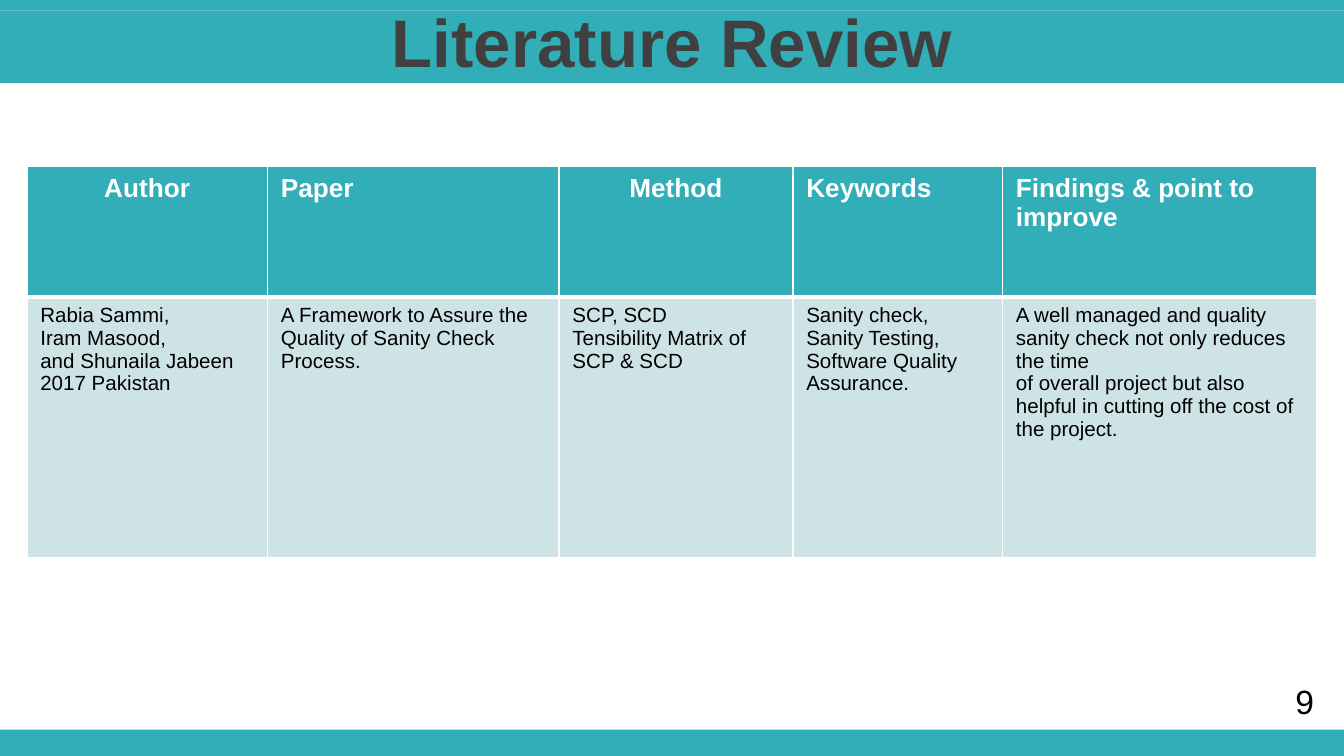
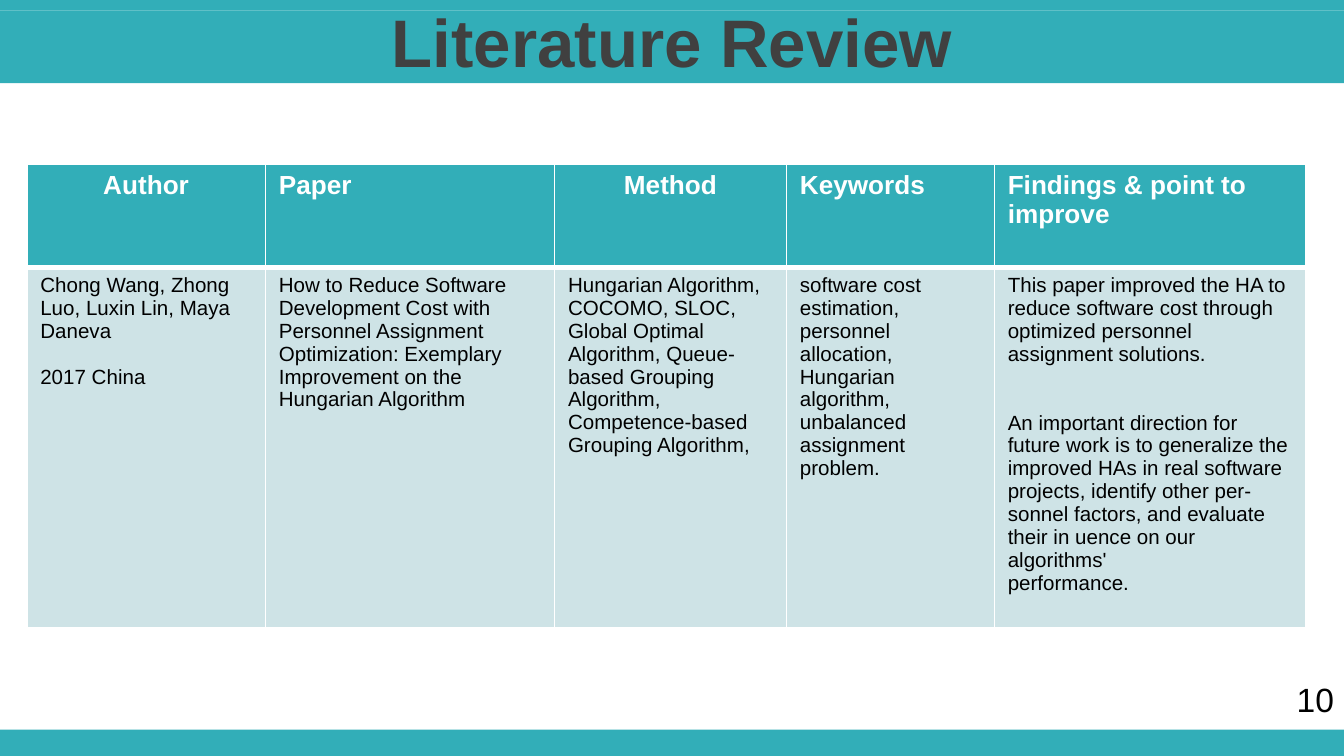
from dataclasses import dataclass
from typing import NamedTuple

from lxml.etree import SubElement
from pptx import Presentation
from pptx.dml.color import RGBColor
from pptx.enum.shapes import MSO_SHAPE
from pptx.enum.text import MSO_ANCHOR, MSO_AUTO_SIZE, PP_ALIGN
from pptx.oxml.ns import qn
from pptx.util import Emu, Inches, Pt

COLORS = {
    "teal": "32AEB8",
    "pale": "CEE3E6",
    "white": "FFFFFF",
    "title": "404040",
    "body": "000000",
}
FONT = "Arial"
SLIDE_WIDTH, SLIDE_HEIGHT = Inches(10), Inches(5.625)
GRID_COLUMNS, GRID_ROWS = 100, 56.25
BODY_SIZE = 11
BODY_LINE = 12.3


class Box(NamedTuple):
    left: float
    top: float
    width: float
    height: float

    def placed(self) -> tuple[Emu, Emu, Emu, Emu]:
        return columns(self.left), rows(self.top), columns(self.width), rows(self.height)


class Spaced(NamedTuple):
    text: str
    lines_before: int


class Heading(NamedTuple):
    lines: tuple[str, ...]
    width: float
    align: PP_ALIGN = PP_ALIGN.LEFT


@dataclass(frozen=True)
class Review:
    page: str
    page_box: Box
    table_box: Box
    row_heights: tuple[float, float]
    findings: tuple[tuple[str | Spaced, ...], ...]


BANDS = (
    Box(0, 54.3, 100, 2),
    Box(0, 0, 100, 0.8),
    Box(0, 0.8, 100, 5.4),
)
TITLE_BOX = Box(0, -0.1, 100, 6.3)
HEADINGS = (
    Heading(("Author",), 17.9, PP_ALIGN.CENTER),
    Heading(("Paper",), 21.7),
    Heading(("Method",), 17.4, PP_ALIGN.CENTER),
    Heading(("Keywords",), 15.6),
    Heading(("Findings & point to", "improve"), 23.4),
)
HEADER_BORDERS = {"a:lnL": 1, "a:lnR": 1, "a:lnT": 1, "a:lnB": 3}
BODY_BORDERS = dict.fromkeys(HEADER_BORDERS, 1)

REVIEWS = (
    Review(
        page="9",
        page_box=Box(95.4, 50.2, 3.4, 4),
        table_box=Box(2, 12.4, 96, 29.1),
        row_heights=(9.7, 19.4),
        findings=(
            ("Rabia Sammi,", "Iram Masood,", "and Shunaila Jabeen", "2017 Pakistan"),
            ("A Framework to Assure the Quality of Sanity Check", "Process."),
            ("SCP, SCD", "Tensibility Matrix of SCP & SCD"),
            ("Sanity check,", "Sanity Testing,", "Software Quality", "Assurance."),
            (
                "A well managed and quality sanity check not only reduces the time",
                "of overall project but also helpful in cutting off the cost of the project.",
            ),
        ),
    ),
    Review(
        page="10",
        page_box=Box(95.5, 50, 4.8, 4),
        table_box=Box(2, 12.2, 95.2, 35.4),
        row_heights=(7.7, 26.8),
        findings=(
            ("Chong Wang, Zhong", "Luo, Luxin Lin, Maya Daneva", Spaced("2017 China", 1)),
            (
                "How to Reduce Software",
                "Development Cost with Personnel Assignment Optimization: "
                "Exemplary Improvement on the Hungarian Algorithm",
            ),
            (
                "Hungarian Algorithm, COCOMO, SLOC, Global Optimal Algorithm, "
                "Queue-based Grouping Algorithm, Competence-based Grouping Algorithm,",
            ),
            (
                "software cost estimation, personnel allocation, Hungarian",
                "algorithm, unbalanced assignment problem.",
            ),
            (
                "This paper improved the HA to reduce software cost through",
                "optimized personnel assignment solutions.",
                Spaced("An important direction for future work is to generalize the", 2),
                "improved HAs in real software projects, identify other per-",
                "sonnel factors, and evaluate their in uence on our algorithms'",
                "performance.",
            ),
        ),
    ),
)


def columns(count: float) -> Emu:
    return Emu(round(SLIDE_WIDTH * count / GRID_COLUMNS))


def rows(count: float) -> Emu:
    return Emu(round(SLIDE_HEIGHT * count / GRID_ROWS))


def color(name: str) -> RGBColor:
    return RGBColor.from_string(COLORS[name])


def write(frame, lines, *, size: float, ink: str = "body", bold: bool = False,
          align: PP_ALIGN = PP_ALIGN.LEFT, before: float = 0) -> None:
    for index, line in enumerate(lines):
        text, gap = line if isinstance(line, Spaced) else (line, 0)
        paragraph = frame.paragraphs[0] if index == 0 else frame.add_paragraph()
        paragraph.alignment = align
        paragraph.space_before = Pt(before + gap * BODY_LINE)
        run = paragraph.add_run()
        run.text = text
        run.font.name = FONT
        run.font.size = Pt(size)
        run.font.bold = bold
        run.font.color.rgb = color(ink)


def draw_band(slide, box: Box) -> None:
    band = slide.shapes.add_shape(MSO_SHAPE.RECTANGLE, *box.placed())
    band.shadow.inherit = False
    band.fill.solid()
    band.fill.fore_color.rgb = color("teal")
    band.line.fill.background()


def draw_title(slide) -> None:
    title = slide.shapes.title
    title.element.getparent().append(title.element)
    title.left, title.top, title.width, title.height = TITLE_BOX.placed()
    frame = title.text_frame
    frame.auto_size = MSO_AUTO_SIZE.NONE
    frame.vertical_anchor = MSO_ANCHOR.MIDDLE
    write(frame, ("Literature Review",), size=36, ink="title", bold=True,
          align=PP_ALIGN.CENTER, before=7.2)


def style_cell(cell, fill: str, borders: dict[str, float]) -> None:
    properties = cell._tc.get_or_add_tcPr()
    for side, width in borders.items():
        edge = SubElement(properties, qn(side), w=str(Pt(width)))
        ink = SubElement(edge, qn("a:solidFill"))
        SubElement(ink, qn("a:srgbClr"), val=COLORS["white"])
    cell.fill.solid()
    cell.fill.fore_color.rgb = color(fill)


def draw_table(slide, review: Review) -> None:
    box = review.table_box
    holder = slide.shapes.add_table(2, len(HEADINGS), *box.placed())
    table = holder.table
    table.horz_banding = False
    for row, height in zip(table.rows, review.row_heights):
        row.height = rows(height)
    scale = box.width / sum(heading.width for heading in HEADINGS)
    for index, (heading, finding) in enumerate(zip(HEADINGS, review.findings)):
        table.columns[index].width = columns(heading.width * scale)
        header, body = table.cell(0, index), table.cell(1, index)
        style_cell(header, "teal", HEADER_BORDERS)
        style_cell(body, "pale", BODY_BORDERS)
        write(header.text_frame, heading.lines, size=14, ink="white", bold=True,
              align=heading.align)
        write(body.text_frame, finding, size=BODY_SIZE)
    holder.height = rows(box.height)


def draw_page_number(slide, review: Review) -> None:
    frame = slide.shapes.add_textbox(*review.page_box.placed()).text_frame
    frame.word_wrap = False
    frame.auto_size = MSO_AUTO_SIZE.SHAPE_TO_FIT_TEXT
    write(frame, (review.page,), size=18)


def main() -> None:
    deck = Presentation()
    deck.slide_width, deck.slide_height = SLIDE_WIDTH, SLIDE_HEIGHT
    title_only = deck.slide_layouts.get_by_name("Title Only")
    for review in REVIEWS:
        slide = deck.slides.add_slide(title_only)
        for band in BANDS:
            draw_band(slide, band)
        draw_title(slide)
        draw_table(slide, review)
        draw_page_number(slide, review)
    deck.save("out.pptx")


if __name__ == "__main__":
    main()
